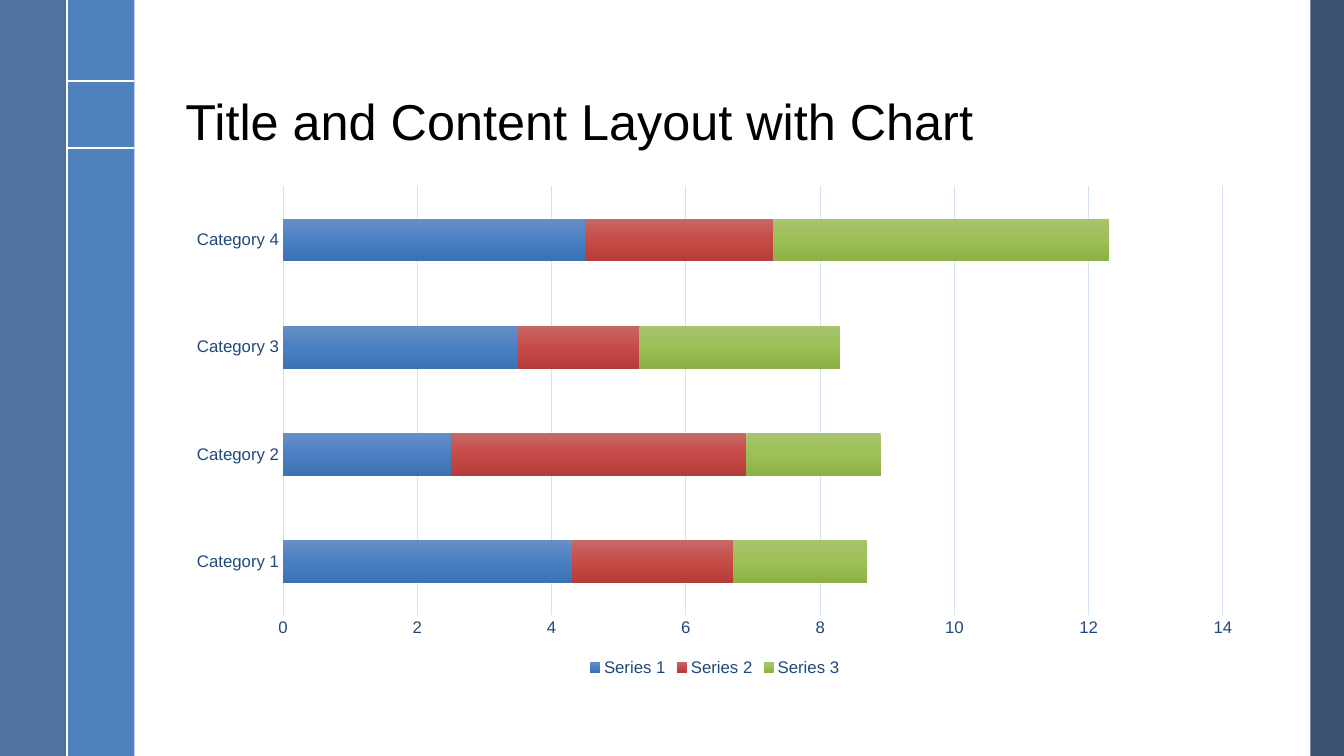
from dataclasses import dataclass
from copy import deepcopy

from lxml.etree import SubElement
from pptx import Presentation
from pptx.chart.chart import Chart
from pptx.chart.data import CategoryChartData
from pptx.chart.series import BarSeries
from pptx.dml.color import RGBColor
from pptx.enum.chart import XL_CHART_TYPE as ChartType
from pptx.enum.chart import XL_LEGEND_POSITION as LegendPosition
from pptx.enum.chart import XL_TICK_MARK as TickMark
from pptx.enum.shapes import MSO_CONNECTOR as Connector
from pptx.enum.shapes import MSO_SHAPE as ShapeType
from pptx.enum.text import MSO_ANCHOR as Anchor
from pptx.enum.text import MSO_AUTO_SIZE as AutoSize
from pptx.enum.text import PP_ALIGN as Align
from pptx.oxml.ns import qn
from pptx.slide import Slide
from pptx.util import Pt

WIDTH, HEIGHT = 960, 540
BAND = 48
CONTENT_LEFT, CONTENT_WIDTH = 125.28, 770.4
FONT = "Arial"
COLORS = {
    "left band": "376092",
    "inner band": "4F81BD",
    "right band": "254061",
    "rule": "FFFFFF",
    "title": "000000",
    "label": "1F497D",
    "grid": "D4E3F4",
}


@dataclass
class Band:
    color: str
    left: float
    width: float
    opacity: int = 100


@dataclass
class Rule:
    x1: float
    y1: float
    x2: float
    y2: float


@dataclass
class Series:
    name: str
    values: tuple[float, ...]
    gradient: tuple[str, str, str]


BANDS = [
    Band("right band", WIDTH - BAND / 2, BAND / 2, 90),
    Band("inner band", BAND, BAND),
    Band("left band", 0, BAND, 88),
]
RULES = [
    Rule(BAND, 58, 2 * BAND, 58),
    Rule(BAND, 106, 2 * BAND, 106),
    Rule(BAND, 0, BAND, HEIGHT),
]
CATEGORIES = [f"Category {number}" for number in range(1, 5)]
SERIES = [
    Series("Series 1", (4.3, 2.5, 3.5, 4.5), ("688FC5", "4A80C3", "3B72B3")),
    Series("Series 2", (2.4, 4.4, 1.8, 2.8), ("C76967", "C64B47", "B63C39")),
    Series("Series 3", (2, 2, 3, 5), ("A6C36F", "9DC054", "8DB045")),
]


def set_format(target: object, values: dict[str, object]) -> None:
    for name, value in values.items():
        setattr(target, name, value)


def rgb(name: str) -> RGBColor:
    return RGBColor.from_string(COLORS[name])


def set_font(font: object, size: float, color: str) -> None:
    set_format(font, {"name": FONT, "size": Pt(size), "bold": False})
    font.color.rgb = rgb(color)


def set_line(line: object, color: str, width: float) -> None:
    line.color.rgb = rgb(color)
    line.width = Pt(width)


def add_band(slide: Slide, band: Band) -> None:
    shape = slide.shapes.add_shape(
        ShapeType.RECTANGLE, Pt(band.left), 0, Pt(band.width), Pt(HEIGHT))
    shape.shadow.inherit = False
    shape.line.fill.background()
    shape.fill.solid()
    shape.fill.fore_color.rgb = rgb(band.color)
    if band.opacity < 100:
        color = shape._element.spPr.find(f".//{qn('a:srgbClr')}")
        SubElement(color, qn("a:alpha"), val=str(band.opacity * 1000))


def add_rule(slide: Slide, rule: Rule) -> None:
    connector = slide.shapes.add_connector(
        Connector.STRAIGHT, Pt(rule.x1), Pt(rule.y1), Pt(rule.x2), Pt(rule.y2))
    set_line(connector.line, "rule", 1.5)
    SubElement(connector._element.spPr, qn("a:effectLst"))


def set_title(slide: Slide, text: str) -> None:
    title = slide.shapes.title
    set_format(title, {"left": Pt(CONTENT_LEFT), "top": Pt(13.68),
                       "width": Pt(CONTENT_WIDTH), "height": Pt(97.92)})
    set_format(title.text_frame, {
        "text": text, "word_wrap": True, "auto_size": AutoSize.NONE,
        "vertical_anchor": Anchor.BOTTOM})
    paragraph = title.text_frame.paragraphs[0]
    set_format(paragraph, {"alignment": Align.LEFT, "line_spacing": 0.9})
    set_font(paragraph.runs[0].font, 36, "title")


def fill_gradient(series: BarSeries, colors: tuple[str, ...]) -> None:
    fill = series.format.fill
    fill.gradient()
    fill.gradient_angle = 270
    stop_list = series._element.find(f".//{qn('a:gsLst')}")
    stop_list.append(deepcopy(stop_list[0]))
    for index, (stop, color) in enumerate(zip(fill.gradient_stops, colors)):
        stop.position = index / (len(colors) - 1)
        stop.color.rgb = RGBColor.from_string(color)


def format_axes(chart: Chart) -> None:
    for axis in (chart.category_axis, chart.value_axis):
        set_format(axis, {"major_tick_mark": TickMark.NONE,
                          "minor_tick_mark": TickMark.NONE})
        set_font(axis.tick_labels.font, 12, "label")
    set_line(chart.category_axis.format.line, "grid", 0.75)
    set_format(chart.value_axis, {
        "minimum_scale": 0, "maximum_scale": 14, "major_unit": 2,
        "has_major_gridlines": True})
    chart.value_axis.format.line.fill.background()
    set_line(chart.value_axis.major_gridlines.format.line, "grid", 0.75)


def add_stacked_chart(slide: Slide) -> None:
    data = CategoryChartData()
    data.categories = CATEGORIES
    for series in SERIES:
        data.add_series(series.name, series.values)
    chart = slide.shapes.add_chart(
        ChartType.BAR_STACKED, Pt(CONTENT_LEFT), Pt(126),
        Pt(CONTENT_WIDTH), Pt(360), data).chart
    set_font(chart.font, 10, "title")
    set_format(chart, {"has_title": False, "has_legend": True})
    set_format(chart.legend, {"position": LegendPosition.BOTTOM,
                              "include_in_layout": False})
    set_font(chart.legend.font, 12, "label")
    plot = chart.plots[0]
    set_format(plot, {"gap_width": 150, "overlap": 100,
                      "vary_by_categories": False})
    for bars, series in zip(plot.series, SERIES):
        fill_gradient(bars, series.gradient)
    format_axes(chart)


presentation = Presentation()
set_format(presentation, {"slide_width": Pt(WIDTH), "slide_height": Pt(HEIGHT)})
title_only = presentation.slide_layouts[5]
slide = presentation.slides.add_slide(title_only)

# Side bands and white rules
for band in BANDS:
    add_band(slide, band)
for rule in RULES:
    add_rule(slide, rule)

# Title and chart
set_title(slide, "Title and Content Layout with Chart")
add_stacked_chart(slide)

presentation.save("out.pptx")
